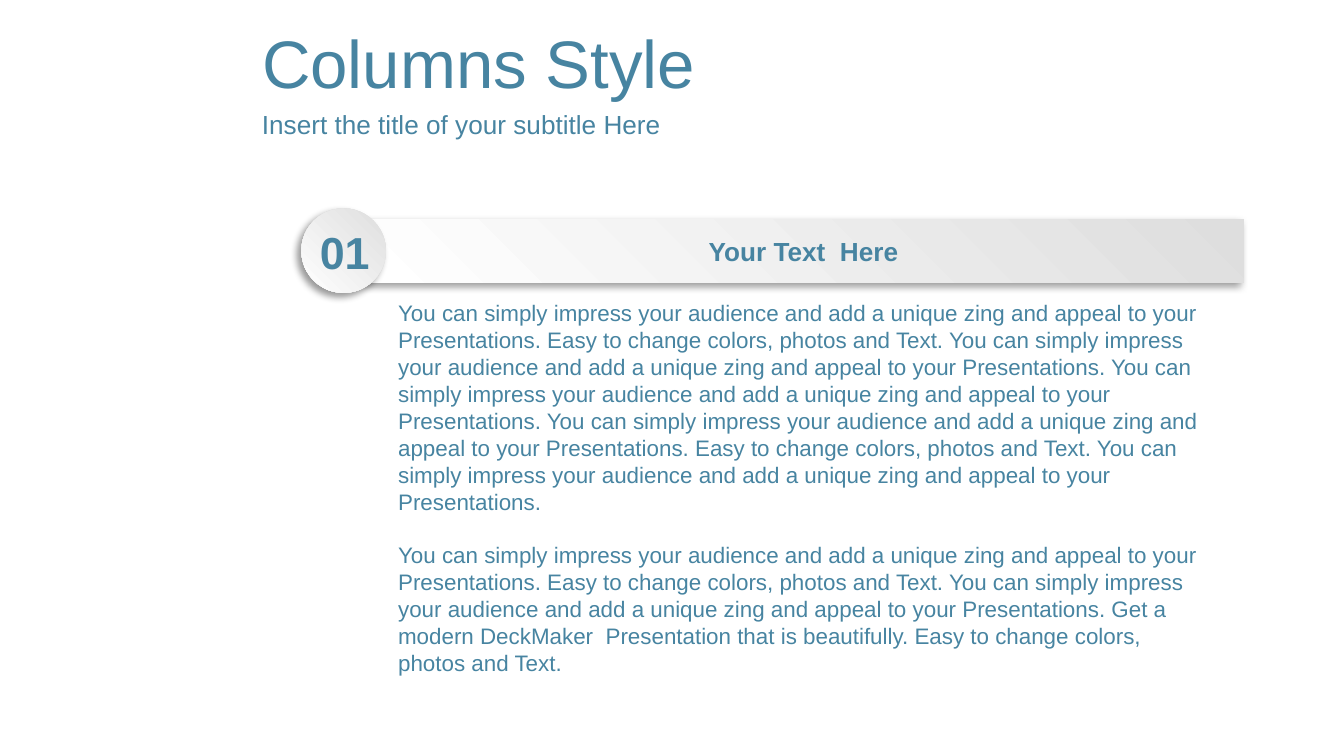
from dataclasses import dataclass

from lxml import etree
from pptx import Presentation
from pptx import util as u
from pptx.dml.color import RGBColor
from pptx.enum import shapes, text
from pptx.oxml.ns import qn

# Widescreen page, 16 to 9
WIDTH = u.Inches(10)
HEIGHT = u.Emu(WIDTH * 9 // 16)
BLUE = RGBColor(0x47, 0x84, 0xA1)
GREY = RGBColor(0xDE, 0xDE, 0xDE)
WHITE = RGBColor(0xFF, 0xFF, 0xFF)
BLACK = RGBColor(0x00, 0x00, 0x00)
FONT = "Arial"
TITLE_ONLY = 5


@dataclass(frozen=True)
class Area:
    """A rectangle in percent of the slide's width and height."""
    left: float
    top: float
    width: float
    height: float

    def lengths(self) -> tuple[int, int, int, int]:
        return (int(WIDTH * self.left / 100), int(HEIGHT * self.top / 100),
                int(WIDTH * self.width / 100), int(HEIGHT * self.height / 100))


@dataclass(frozen=True)
class Panel:
    kind: shapes.MSO_SHAPE
    area: Area


TITLE = Area(18.5, 2.49, 81.5, 11.2)
SUBTITLE = Area(18.5, 13.69, 81.5, 5.51)
HEADING = Area(28.64, 30.22, 62.3, 6.04)
NUMBER = Area(22.6, 28.8, 6.1, 8.89)
BODY = Area(28.64, 38.76, 62.3, 52.09)
PANELS = (
    Panel(shapes.MSO_SHAPE.RECTANGLE, Area(27.2, 29, 65.35, 8.4)),
    Panel(shapes.MSO_SHAPE.OVAL, Area(22.42, 27.56, 6.3, 11.2)),
)

# Sentences that recur in the body text
IMPRESS = ("You can simply impress your audience and add a unique zing "
           "and appeal to your Presentations.")
EASY = "Easy to change colors, photos and Text."
MODERN = "Get a modern DeckMaker  Presentation that is beautifully."
BODY_TEXT = (
    " ".join([IMPRESS, EASY, IMPRESS, IMPRESS, IMPRESS, EASY, IMPRESS]),
    " ".join([IMPRESS, EASY, IMPRESS, MODERN, EASY]),
)


def add_shadow(shape) -> None:
    """Soft shadow towards the lower left."""
    shape.shadow.inherit = False
    effects = shape.element.spPr.find(qn("a:effectLst"))
    shadow = etree.SubElement(
        effects, qn("a:outerShdw"), blurRad=str(u.Pt(4)), dist=str(u.Pt(3)),
        dir=str(135 * 60000), algn="tr", rotWithShape="0")
    color = etree.SubElement(shadow, qn("a:srgbClr"), val=str(BLACK))
    etree.SubElement(color, qn("a:alpha"), val="40000")


def add_panel(page, panel: Panel) -> None:
    """Grey-to-white shape without an outline."""
    shape = page.shapes.add_shape(panel.kind, *panel.area.lengths())
    shape.fill.gradient()
    shape.fill.gradient_angle = 225
    for stop, color, position in zip(shape.fill.gradient_stops,
                                     (GREY, WHITE), (0, 1)):
        stop.color.rgb = color
        stop.position = position
    shape.line.fill.background()
    add_shadow(shape)


def write(box, *paragraphs: str, size: float, bold: bool = False,
          align=text.PP_ALIGN.LEFT, anchor=text.MSO_ANCHOR.TOP,
          gap: float = 0) -> None:
    """Fill a box with formatted paragraphs, separated by gap points."""
    frame = box.text_frame
    frame.word_wrap = True
    frame.auto_size = text.MSO_AUTO_SIZE.NONE
    frame.vertical_anchor = anchor
    for index, words in enumerate(paragraphs):
        para = frame.add_paragraph() if index else frame.paragraphs[0]
        para.alignment = align
        para.space_before = u.Pt(gap if index else 0)
        span = para.add_run()
        span.text = words
        span.font.name = FONT
        span.font.size = u.Pt(size)
        span.font.bold = bold
        span.font.color.rgb = BLUE


def add_text(page, area: Area, *paragraphs: str, **style) -> None:
    write(page.shapes.add_textbox(*area.lengths()), *paragraphs, **style)


def main() -> None:
    deck = Presentation()
    deck.slide_width, deck.slide_height = WIDTH, HEIGHT
    page = deck.slides.add_slide(deck.slide_layouts[TITLE_ONLY])

    # Title and subtitle
    title = page.shapes.title
    title.left, title.top, title.width, title.height = TITLE.lengths()
    write(title, "Columns Style", size=36, anchor=text.MSO_ANCHOR.MIDDLE)
    add_text(page, SUBTITLE, "Insert the title of your subtitle Here",
             size=14, anchor=text.MSO_ANCHOR.MIDDLE)

    # Heading bar and number disc
    for panel in PANELS:
        add_panel(page, panel)

    # Body text, heading and number
    add_text(page, BODY, *BODY_TEXT, size=12, gap=14.4)
    add_text(page, HEADING, "Your Text  Here", size=14, bold=True,
             align=text.PP_ALIGN.CENTER)
    add_text(page, NUMBER, "01", size=24, bold=True,
             align=text.PP_ALIGN.CENTER)

    deck.save("out.pptx")


if __name__ == "__main__":
    main()
